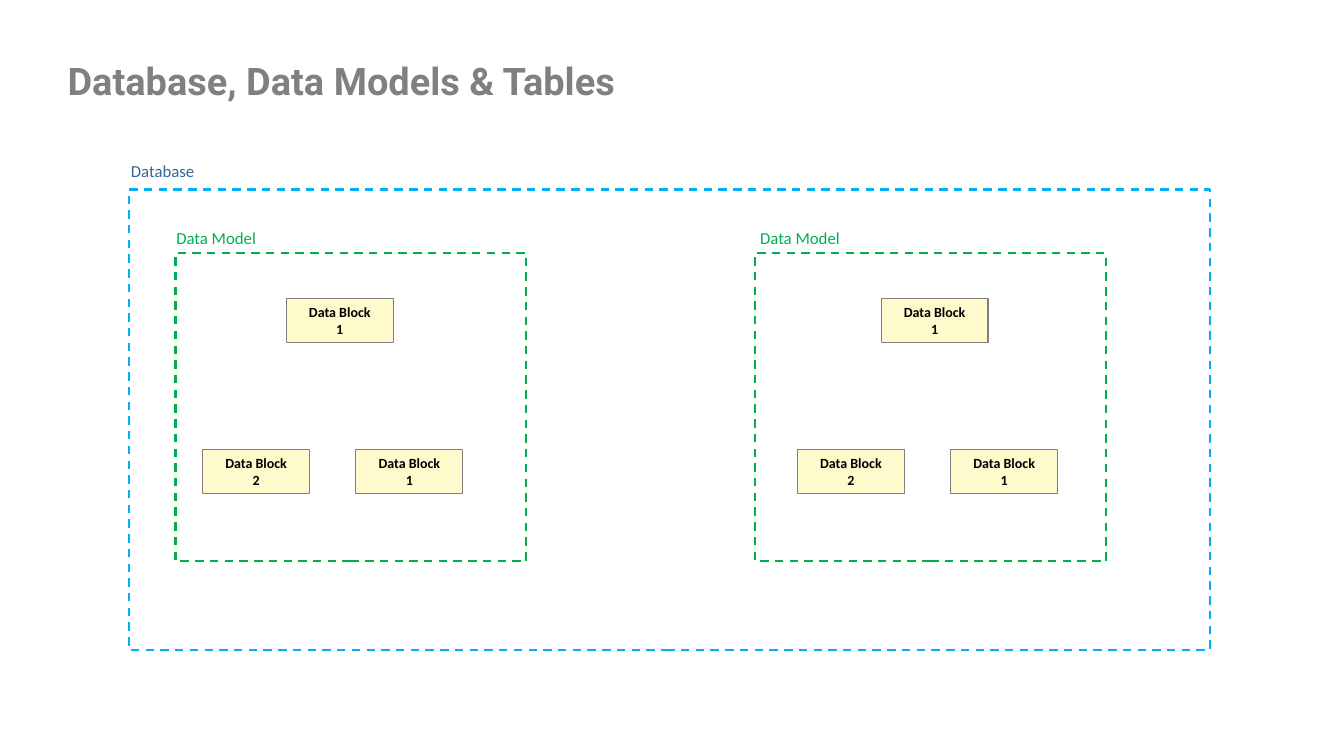
from pptx import Presentation
from pptx.dml.color import RGBColor
from pptx.enum.dml import MSO_LINE
from pptx.enum.shapes import MSO_SHAPE
from pptx.enum.text import MSO_ANCHOR, PP_ALIGN
from pptx.util import Inches, Pt

RECT = MSO_SHAPE.RECTANGLE
DASH = MSO_LINE.DASH
TOP, MIDDLE = MSO_ANCHOR.TOP, MSO_ANCHOR.MIDDLE
CENTER = PP_ALIGN.CENTER

COLORS = {
    "title": "808080",
    "database": "00B0F0",
    "database_label": "336699",
    "model": "00B050",
    "block": "FFFACC",
    "block_line": "808080",
    "block_text": "000000",
}

MODEL_W, MODEL_H = 3.48, 3.06
BLOCK_W, BLOCK_H = 1.06, 0.44
# Number and offset of each block from the top block of its model
BLOCKS = [("1", 0, 0), ("1", 0.69, 1.5), ("2", -0.83, 1.5)]


def rgb(name):
    return RGBColor.from_string(COLORS[name])


def set_font(p, name, size, color, bold=False):
    p.font.name = name
    p.font.size = Pt(size)
    p.font.bold = bold
    p.font.color.rgb = rgb(color)


def add_rect(slide, x, y, w, h, line, weight):
    sp = slide.shapes.add_shape(RECT, Inches(x), Inches(y), Inches(w), Inches(h))
    sp.shadow.inherit = False
    sp.fill.background()
    sp.line.color.rgb = rgb(line)
    sp.line.width = Pt(weight)
    return sp


def add_frame(slide, x, y, w, h, color):
    add_rect(slide, x, y, w, h, color, 1.5).line.dash_style = DASH


def add_label(slide, x, y, text, color):
    box = slide.shapes.add_textbox(Inches(x), Inches(y), Inches(1.62), Inches(0.3))
    tf = box.text_frame
    tf.word_wrap = True
    p = tf.paragraphs[0]
    p.text = text
    set_font(p, "Calibri", 12, color)


def add_block(slide, x, y, number):
    sp = add_rect(slide, x, y, BLOCK_W, BLOCK_H, "block_line", 0.75)
    sp.fill.solid()
    sp.fill.fore_color.rgb = rgb("block")
    tf = sp.text_frame
    tf.word_wrap = True
    tf.vertical_anchor = MIDDLE
    tf.text = "Data Block\n" + number
    for p in tf.paragraphs:
        p.alignment = CENTER
        set_font(p, "Calibri", 10, "block_text", bold=True)


def add_title(slide, x, y, w, h):
    box = slide.shapes.add_textbox(Inches(x), Inches(y), Inches(w), Inches(h))
    tf = box.text_frame
    tf.word_wrap = True
    tf.vertical_anchor = TOP
    tf.margin_left = tf.margin_top = tf.margin_right = tf.margin_bottom = 0
    p = tf.paragraphs[0]
    p.text = "Database, Data Models & Tables"
    p.line_spacing = 0.85
    set_font(p, "Roboto", 27.1, "title", bold=True)


def add_database(slide, x, y, w, h):
    add_frame(slide, x, y, w, h, "database")
    add_label(slide, x - 0.08, y - 0.33, "Database", "database_label")


def add_model(slide, x, y, block_dx, label_dx):
    """Draw a data model; block_dx and label_dx are offsets from its left edge."""
    add_frame(slide, x, y, MODEL_W, MODEL_H, "model")
    add_label(slide, x + label_dx, y - 0.3, "Data Model", "model")
    for number, dx, dy in BLOCKS:
        add_block(slide, x + block_dx + dx, y + 0.45 + dy, number)


def main():
    prs = Presentation()
    prs.slide_width, prs.slide_height = Inches(13.33), Inches(7.5)
    slide = prs.slides.add_slide(prs.slide_layouts[6])
    add_title(slide, 0.67, 0.64, 12, 0.51)
    add_database(slide, 1.28, 1.88, 10.72, 4.57)
    add_model(slide, 1.74, 2.51, block_dx=1.1, label_dx=-0.09)
    add_model(slide, 7.49, 2.51, block_dx=1.25, label_dx=-0.05)
    prs.save("out.pptx")


if __name__ == "__main__":
    main()
